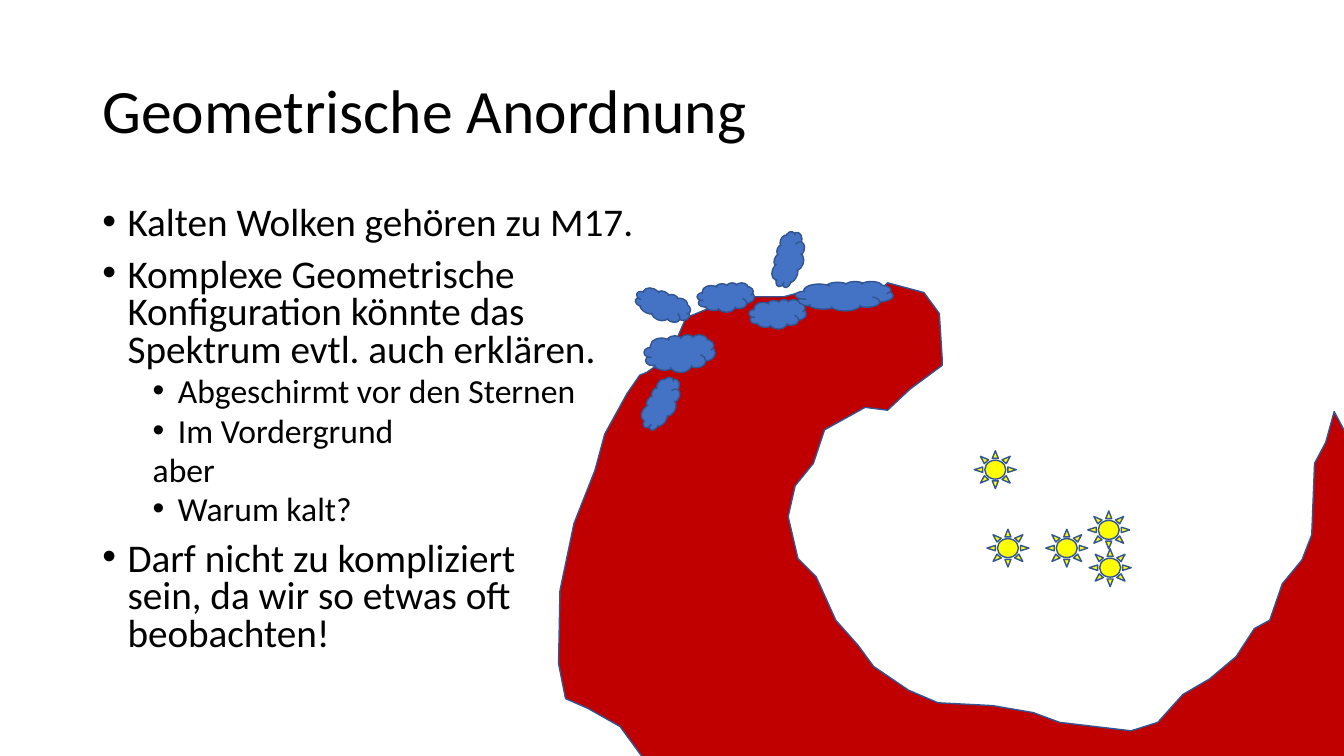
from pptx import Presentation
from pptx import util as u
from pptx.dml import color
from pptx.enum import shapes, text
from pptx.oxml import ns
from lxml import etree

Pt = u.Pt


def rgb(code):
    return color.RGBColor.from_string(code)


def paint(shape, code):
    shape.shadow.inherit = False
    shape.fill.solid()
    shape.fill.fore_color.rgb = rgb(code)
    shape.line.color.rgb = rgb("325491")
    shape.line.width = Pt(1)


deck = Presentation()
deck.slide_width, deck.slide_height = Pt(960), Pt(540)
slide = deck.slides.add_slide(deck.slide_layouts[6])
parts = slide.shapes

# Title and bullet list: level, bullet, lines
title = [(0, False, ["Geometrische Anordnung"])]
points = [
    (0, True, ["Kalten Wolken gehören zu M17."]),
    (0, True, ["Komplexe Geometrische Konfiguration könnte das "
               "Spektrum evtl. auch erklären."]),
    (1, True, ["Abgeschirmt vor den Sternen"]),
    (1, True, ["Im Vordergrund"]),
    (1, False, ["aber"]),
    (1, True, ["Warum kalt?"]),
    (0, True, ["Darf nicht zu kompliziert", "sein, da wir so etwas oft",
               "beobachten!"]),
]
boxes = [
    ((66, 29, 828, 104), text.MSO_ANCHOR.MIDDLE, 0.9, (44,), title),
    ((66, 144, 408, 343), text.MSO_ANCHOR.TOP, 0.8, (28, 24), points),
]
for place, anchor, pitch, sizes, items in boxes:
    frame = parts.add_textbox(*map(Pt, place)).text_frame
    frame.word_wrap = True
    frame.vertical_anchor = anchor
    for i, (level, dot, lines) in enumerate(items):
        para = frame.add_paragraph() if i else frame.paragraphs[0]
        para.level = level
        para.line_spacing = pitch
        para.space_before = Pt((10, 5)[level] if i else 0)
        props = para._p.get_or_add_pPr()
        props.set("marL", str(Pt(36 * level + 18 * dot)))
        props.set("indent", str(Pt(-18 * dot)))
        if dot:
            font = etree.SubElement(props, ns.qn("a:buFont"))
            font.set("typeface", "Arial")
            mark = etree.SubElement(props, ns.qn("a:buChar"))
            mark.set("char", "•")
        for j, line in enumerate(lines):
            if j:
                para.add_line_break()
            run = para.add_run()
            run.text = line
            run.font.name = "Calibri"
            run.font.size = Pt(sizes[level])
            run.font.color.rgb = rgb("000000")

# Red nebula: upper edge, inner bay, right side, bottom, left side
rim = [
    (462, 266), (478, 255), (490, 227), (507, 220), (532, 212), (560, 212),
    (575, 208), (631, 205), (634, 202), (660, 209), (671, 224), (673, 256),
    (673, 261), (650, 278), (634, 293), (618, 291), (589, 307), (581, 331),
    (568, 347), (563, 369), (570, 399), (583, 412), (597, 443), (613, 461),
    (624, 476), (649, 493), (670, 502), (709, 504), (738, 509), (757, 516),
    (808, 522), (827, 516), (845, 496), (864, 485), (883, 469), (896, 449),
    (907, 443), (916, 417), (930, 400), (937, 382), (939, 331), (947, 316),
    (953, 294), (961, 309), (966, 330), (964, 435), (971, 458), (975, 523),
    (978, 535), (961, 557), (920, 563), (644, 562), (560, 557), (520, 564),
    (470, 556), (443, 519), (420, 506), (404, 499), (399, 474), (400, 422),
    (410, 374), (425, 336), (432, 310), (448, 281), (457, 268),
]
pen = parts.build_freeform(*rim[0], scale=float(Pt(1)))
pen.add_line_segments(rim[1:], close=True)
paint(pen.convert_to_shape(), "C00000")

# Stars
for x, y in [(777, 365), (778, 392), (696, 322), (747, 378), (705, 378)]:
    star = parts.add_shape(shapes.MSO_SHAPE.SUN, Pt(x), Pt(y), Pt(30), Pt(27))
    paint(star, "FFFF00")

# Cold clouds: left, top, turn, then size where it differs
for x, y, turn, *size in [
    (498, 202, 0), (460, 239, 0, 51, 27), (568, 201, 0, 70, 21),
    (535, 214, 0), (452, 278, 304), (543, 175, 290), (453, 208, 24),
]:
    wide, high = size or (41, 21)
    cloud = parts.add_shape(shapes.MSO_SHAPE.CLOUD,
                            Pt(x), Pt(y), Pt(wide), Pt(high))
    cloud.rotation = turn
    paint(cloud, "4472C4")

deck.save("out.pptx")
